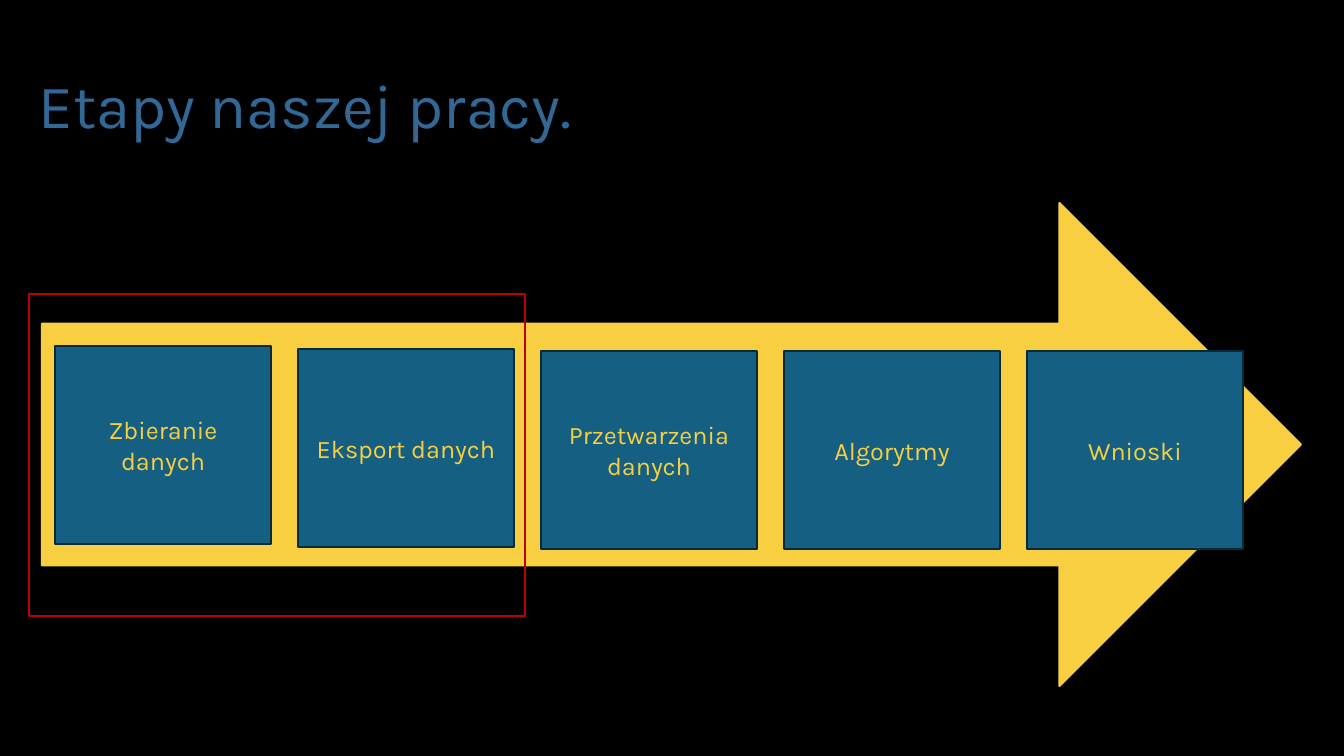
from dataclasses import dataclass

from pptx import Presentation
from pptx.dml.color import RGBColor
from pptx.enum.shapes import MSO_SHAPE as Shape
from pptx.enum.text import MSO_ANCHOR as Anchor, PP_ALIGN as Align
from pptx.util import Emu, Pt

SLIDE_W, SLIDE_H = 1344, 756


@dataclass(frozen=True)
class Theme:
    font: str = "Karla"
    title_size: int = 44
    stage_size: int = 18
    line_width: float = 1.5
    background: str = "000000"
    title: str = "316895"
    yellow: str = "F8CF41"
    stage: str = "156082"
    stage_line: str = "092A39"
    highlight: str = "C00000"


def px(n):
    return Emu(round(n * 12192000 / SLIDE_W))


def write(tf, text, *, font, size, color, align=Align.LEFT, spacing=1.0):
    tf.word_wrap = True
    tf.vertical_anchor = Anchor.MIDDLE
    p = tf.paragraphs[0]
    p.alignment = align
    p.line_spacing = spacing
    r = p.add_run()
    r.text = text
    r.font.name = font
    r.font.size = Pt(size)
    r.font.color.rgb = RGBColor.from_string(color)


class StagesSlide:
    def __init__(self, prs, theme):
        self.theme = theme
        self.s = prs.slides.add_slide(prs.slide_layouts[6])
        fill = self.s.background.fill
        fill.solid()
        fill.fore_color.rgb = RGBColor.from_string(theme.background)

    def title(self, text, *box):
        t = self.theme
        sp = self.s.shapes.add_textbox(*map(px, box))
        write(sp.text_frame, text, font=t.font, size=t.title_size,
              color=t.title, spacing=0.9)

    def shape(self, kind, *box, line, fill=None):
        sp = self.s.shapes.add_shape(kind, *map(px, box))
        sp.shadow.inherit = False
        if fill:
            sp.fill.solid()
            sp.fill.fore_color.rgb = RGBColor.from_string(fill)
        else:
            sp.fill.background()
        sp.line.color.rgb = RGBColor.from_string(line)
        sp.line.width = Pt(self.theme.line_width)
        return sp

    def arrow(self, *box):
        self.shape(Shape.RIGHT_ARROW, *box,
                   fill=self.theme.yellow, line=self.theme.yellow)

    def stage(self, text, *box):
        t = self.theme
        sp = self.shape(Shape.RECTANGLE, *box, fill=t.stage, line=t.stage_line)
        write(sp.text_frame, text, font=t.font, size=t.stage_size,
              color=t.yellow, align=Align.CENTER)

    def highlight(self, *box):
        self.shape(Shape.RECTANGLE, *box, line=self.theme.highlight)


def main():
    prs = Presentation()
    prs.slide_width, prs.slide_height = px(SLIDE_W), px(SLIDE_H)

    slide = StagesSlide(prs, Theme())
    slide.title("Etapy naszej pracy.", 29, 36, 1159, 146)
    slide.arrow(42, 203, 1259, 483)

    stages = [
        ("Zbieranie danych", 346),
        ("Eksport danych", 349),
        ("Przetwarzenia danych", 351),
        ("Algorytmy", 351),
        ("Wnioski", 351),
    ]
    left, step = 55, 243
    for i, (text, top) in enumerate(stages):
        slide.stage(text, left + i * step, top, 216, 198)

    slide.highlight(29, 294, 496, 322)
    prs.save("out.pptx")


if __name__ == "__main__":
    main()
